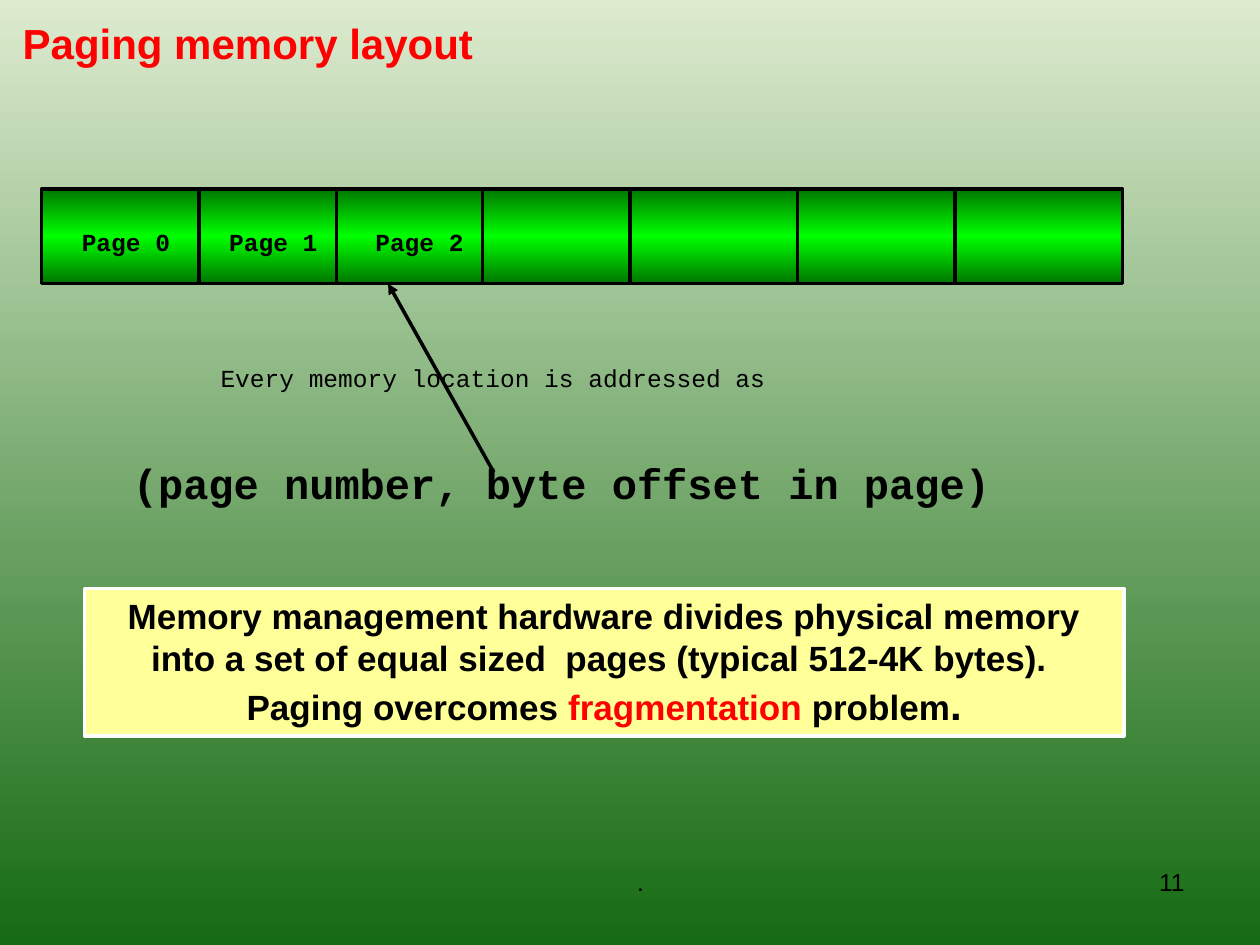
import copy
from dataclasses import dataclass

import pptx
import pptx.dml.color
import pptx.enum.shapes
import pptx.enum.text
import pptx.oxml
import pptx.util

Inches = pptx.util.Inches
Align = pptx.enum.text.PP_ALIGN
Anchor = pptx.enum.text.MSO_ANCHOR


@dataclass(frozen=True)
class Theme:
    sans: str = "Arial"
    mono: str = "Courier New"
    black: str = "000000"
    red: str = "FF0000"
    white: str = "FFFFFF"
    note: str = "FFFF99"
    background: tuple = ("DDEBCF", "156B13")
    memory: tuple = ("007600", "00FF00", "007600")
    small: int = 14
    medium: int = 20
    large: int = 24
    line: int = 2


def color(value):
    return pptx.dml.color.RGBColor.from_string(value)


def write_text(paragraph, text, *, font, size, fill, bold=False, align=Align.CENTER):
    paragraph.alignment = align
    run = paragraph.add_run()
    run.text = text
    run.font.name = font
    run.font.size = pptx.util.Pt(size)
    run.font.bold = bold
    run.font.color.rgb = color(fill)


class SlideBuilder:
    def __init__(self, slide, theme):
        self.slide = slide
        self.theme = theme
        self.shapes = slide.shapes

    def gradient(self, fill, element, colors):
        fill.gradient()
        fill.gradient_angle = 270
        stop_list = element.xpath(".//a:gsLst")[0]
        while len(stop_list) < len(colors):
            stop_list.append(copy.deepcopy(stop_list[0]))
        for index, (stop, value) in enumerate(zip(fill.gradient_stops, colors)):
            stop.position = index / (len(colors) - 1)
            stop.color.rgb = color(value)

    def background(self):
        self.gradient(self.slide.background.fill, self.slide.element, self.theme.background)

    def title(self, text, left, top, width, height):
        title = self.slide.shapes.title
        title.left, title.top = Inches(left), Inches(top)
        title.width, title.height = Inches(width), Inches(height)
        title.text_frame.vertical_anchor = Anchor.MIDDLE
        write_text(title.text_frame.paragraphs[0], text, font=self.theme.sans,
                   size=self.theme.large, fill=self.theme.red, bold=True, align=Align.LEFT)

    def text(self, text, left, top, width, height, **style):
        box = self.shapes.add_textbox(Inches(left), Inches(top), Inches(width), Inches(height))
        box.text_frame.word_wrap = True
        style = {"font": self.theme.mono, "size": self.theme.small,
                 "fill": self.theme.black, **style}
        write_text(box.text_frame.paragraphs[0], text, **style)

    def rectangle(self, left, top, width, height, outline):
        shape = self.shapes.add_shape(
            pptx.enum.shapes.MSO_SHAPE.RECTANGLE,
            Inches(left), Inches(top), Inches(width), Inches(height))
        shape.shadow.inherit = False
        shape.line.color.rgb = color(outline)
        shape.line.width = pptx.util.Pt(self.theme.line)
        return shape

    def note(self, runs, left, top, width, height):
        shape = self.rectangle(left, top, width, height, self.theme.white)
        shape.fill.solid()
        shape.fill.fore_color.rgb = color(self.theme.note)
        frame = shape.text_frame
        frame.word_wrap = True
        frame.vertical_anchor = Anchor.TOP
        for text, fill, size in runs:
            write_text(frame.paragraphs[0], text, font=self.theme.sans,
                       size=size, fill=fill, bold=True)

    def line(self, start, end, arrow=False):
        connector = self.shapes.add_connector(
            pptx.enum.shapes.MSO_CONNECTOR.STRAIGHT,
            *(Inches(value) for value in (*start, *end)))
        connector.line.color.rgb = color(self.theme.black)
        connector.line.width = pptx.util.Pt(self.theme.line)
        properties = connector.element.spPr
        if arrow:
            tail = pptx.oxml.xmlchemy.OxmlElement("a:tailEnd")
            tail.set("type", "triangle")
            properties.find(pptx.oxml.ns.qn("a:ln")).append(tail)
        properties.append(pptx.oxml.xmlchemy.OxmlElement("a:effectLst"))

    def memory(self, left, top, width, height, dividers, page_lefts):
        self.shapes = self.slide.shapes.add_group_shape().shapes
        bar = self.rectangle(left, top, width, height, self.theme.black)
        self.gradient(bar.fill, bar.element, self.theme.memory)
        for x in dividers:
            self.line((x, top), (x, top + height))
        for number, page_left in enumerate(page_lefts):
            self.text(f"Page {number}", page_left, top + 0.25, 1, 0.34, bold=True)
        self.shapes = self.slide.shapes


def main():
    presentation = pptx.Presentation()
    presentation.slide_width = Inches(10)
    presentation.slide_height = Inches(7.5)
    theme = Theme()
    builder = SlideBuilder(presentation.slides.add_slide(presentation.slide_layouts[5]), theme)

    builder.background()
    builder.text(".", 3.5, 6.83, 3.17, 0.52, font=theme.sans)
    builder.text("11", 7.17, 6.83, 2.33, 0.52, font=theme.sans, align=Align.RIGHT)
    builder.title("Paging memory layout", 0.08, -0.25, 8.5, 1.17)
    builder.note([
        ("Memory management hardware divides physical memory into a set of equal sized  pages "
         "(typical 512-4K bytes).  Paging overcomes ", theme.black, theme.medium),
        ("fragmentation ", theme.red, theme.medium),
        ("problem", theme.black, theme.medium),
        (".", theme.black, theme.large),
    ], 0.67, 4.67, 8.25, 1.17)
    builder.memory(0.33, 1.5, 8.58, 0.75,
                   dividers=(1.58, 2.67, 3.83, 5, 6.33, 7.58),
                   page_lefts=(0.5, 1.67, 2.83))
    builder.text("(page number, byte offset in page)", 0.33, 3.58, 8.25, 0.5,
                 size=theme.large, bold=True)
    builder.line((3.92, 3.75), (3.08, 2.25), arrow=True)
    builder.text("Every memory location is addressed as", 1.5, 2.83, 4.83, 0.34)
    presentation.save("out.pptx")


if __name__ == "__main__":
    main()
